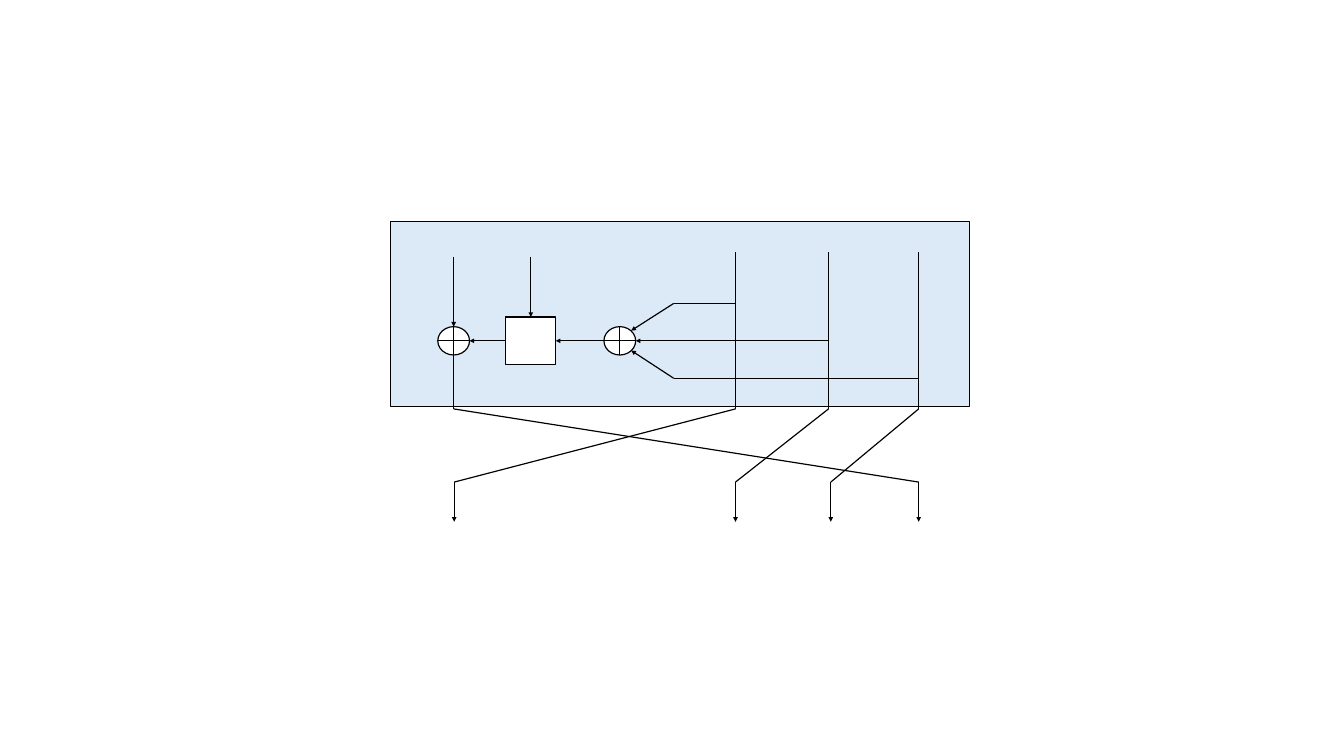
import pptx
import pptx.util
import pptx.dml.color
import pptx.enum.shapes
import lxml.etree

PX = 9144  # EMU per px, 100 px to the inch
SLIDE_SIZE = (2370, 1333)

THEME = {"ink": "000000", "panel": "DCEAF7", "node": "FFFFFF", "line_pt": 1.5}

# Words of the round, left to right
WORDS = (800, 1297, 1461, 1620)
OUTPUTS = (801, 1297, 1465, 1620)
ROUND_PANEL = (689, 390, 1021, 327)
ROW = 601                       # height of the mixing row
ADDER_X = {"state": 800, "feedback": 1093}
ADDER_HALF = (28, 25)
SBOX = (892, 559, 88, 84)

WORD_TOP, INPUT_TOP, WORD_END = 444, 453, 721
SWAP_END, OUTPUT_END = 850, 920
ELBOW_X, TAP_GAP = 1188, 66
TAP_TIPS = ((1113, 583), (1121, ROW), (1113, 618))

FLOW = pptx.enum.shapes.MSO_SHAPE
STRAIGHT = pptx.enum.shapes.MSO_CONNECTOR.STRAIGHT
TOP, LEFT, RIGHT = 0, 1, 3

deck = pptx.Presentation()
deck.slide_width, deck.slide_height = (side * PX for side in SLIDE_SIZE)
slide = deck.slides.add_slide(deck.slide_layouts[6])


def rgb(role):
    return pptx.dml.color.RGBColor.from_string(THEME[role])


def ink(line):
    line.color.rgb = rgb("ink")
    line.width = pptx.util.Pt(THEME["line_pt"])


def add_node(kind, box, fill):
    node = slide.shapes.add_shape(kind, *(length * PX for length in box))
    node.shadow.inherit = False
    node.fill.solid()
    node.fill.fore_color.rgb = rgb(fill)
    ink(node.line)
    return node


def add_wire(start, end, arrow=False):
    wire = slide.shapes.add_connector(STRAIGHT, *(v * PX for v in (*start, *end)))
    ink(wire.line)
    if arrow:
        tail = pptx.oxml.ns.qn("a:tailEnd")
        lxml.etree.SubElement(wire.line._get_or_add_ln(), tail, type="triangle")
    lxml.etree.SubElement(wire._element.spPr, pptx.oxml.ns.qn("a:effectLst"))
    return wire


def add_adder(x):
    """Circle with a plus sign, centred on the mixing row."""
    half_w, half_h = ADDER_HALF
    box = (x - half_w, ROW - half_h, 2 * half_w, 2 * half_h)
    add_node(FLOW.FLOWCHART_CONNECTOR, box, "node")
    add_wire((x, ROW - half_h), (x, ROW + half_h))
    add_wire((x + half_w, ROW), (x - half_w, ROW))


add_node(FLOW.FLOWCHART_PROCESS, ROUND_PANEL, "panel")
for adder_x in ADDER_X.values():
    add_adder(adder_x)
sbox = add_node(FLOW.FLOWCHART_PROCESS, SBOX, "node")

# Three words feed the right-hand adder
for step, (word_x, tip) in enumerate(zip(WORDS[1:], TAP_TIPS), start=-1):
    tap_y = ROW + step * TAP_GAP
    add_wire((word_x, WORD_TOP), (word_x, WORD_END))
    add_wire((word_x, tap_y), (ELBOW_X, tap_y))
    add_wire((ELBOW_X, tap_y), tip, arrow=True)

# Mixing row, right to left, with the key entering from above
half_width, half_height = ADDER_HALF
sbox_left, sbox_top, sbox_width, _ = SBOX
key_x = sbox_left + sbox_width // 2
feedback = add_wire((ADDER_X["feedback"] - half_width, ROW),
                    (sbox_left + sbox_width, ROW), arrow=True)
feedback.end_connect(sbox, RIGHT)
mixed = add_wire((sbox_left, ROW), (ADDER_X["state"] + half_width, ROW), arrow=True)
mixed.begin_connect(sbox, LEFT)
key = add_wire((key_x, INPUT_TOP), (key_x, sbox_top), arrow=True)
key.end_connect(sbox, TOP)

# First word passes through the left-hand adder
first_x = WORDS[0]
add_wire((first_x, INPUT_TOP), (first_x, ROW - half_height), arrow=True)
add_wire((first_x, ROW + half_height), (first_x, WORD_END))

# Every word moves one place left; the first goes to the far right
for place, word_x in enumerate(WORDS):
    output_x = OUTPUTS[place - 1]
    add_wire((word_x, WORD_END), (output_x, SWAP_END))
    add_wire((output_x, SWAP_END), (output_x, OUTPUT_END), arrow=True)

deck.save("out.pptx")
